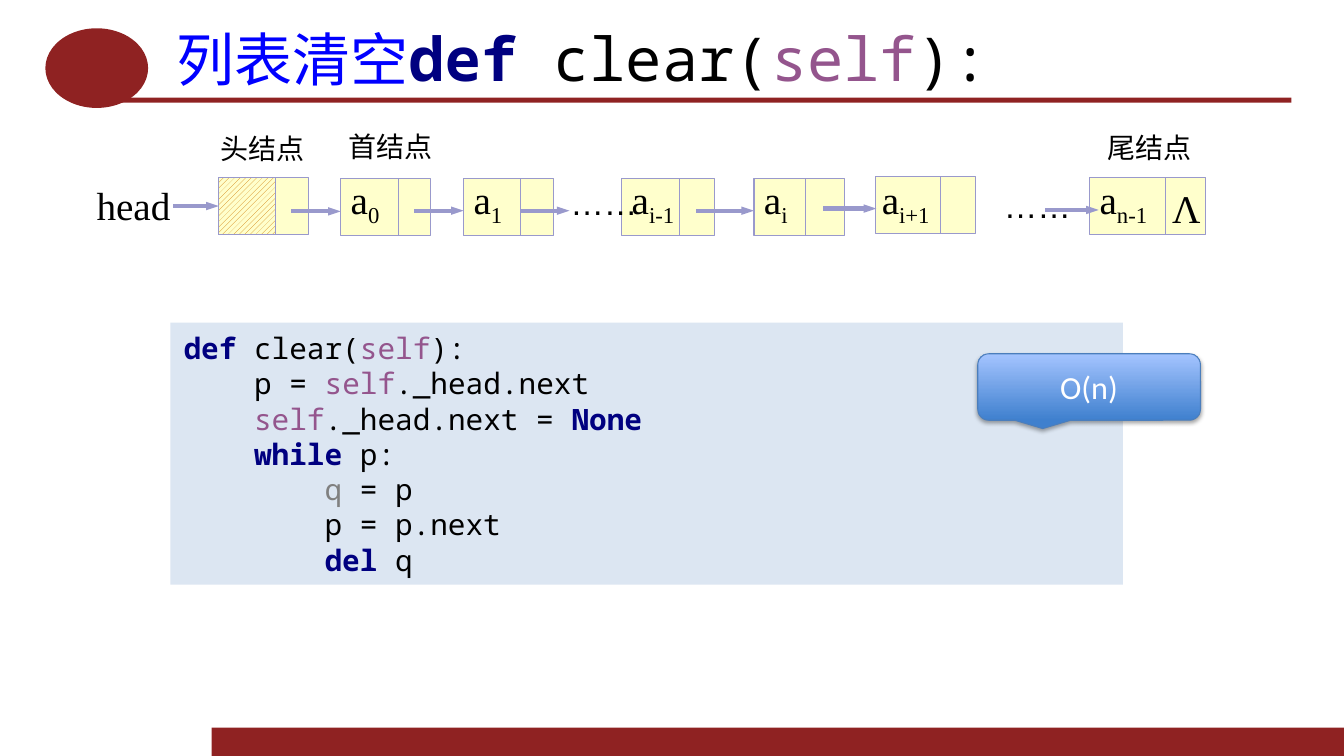
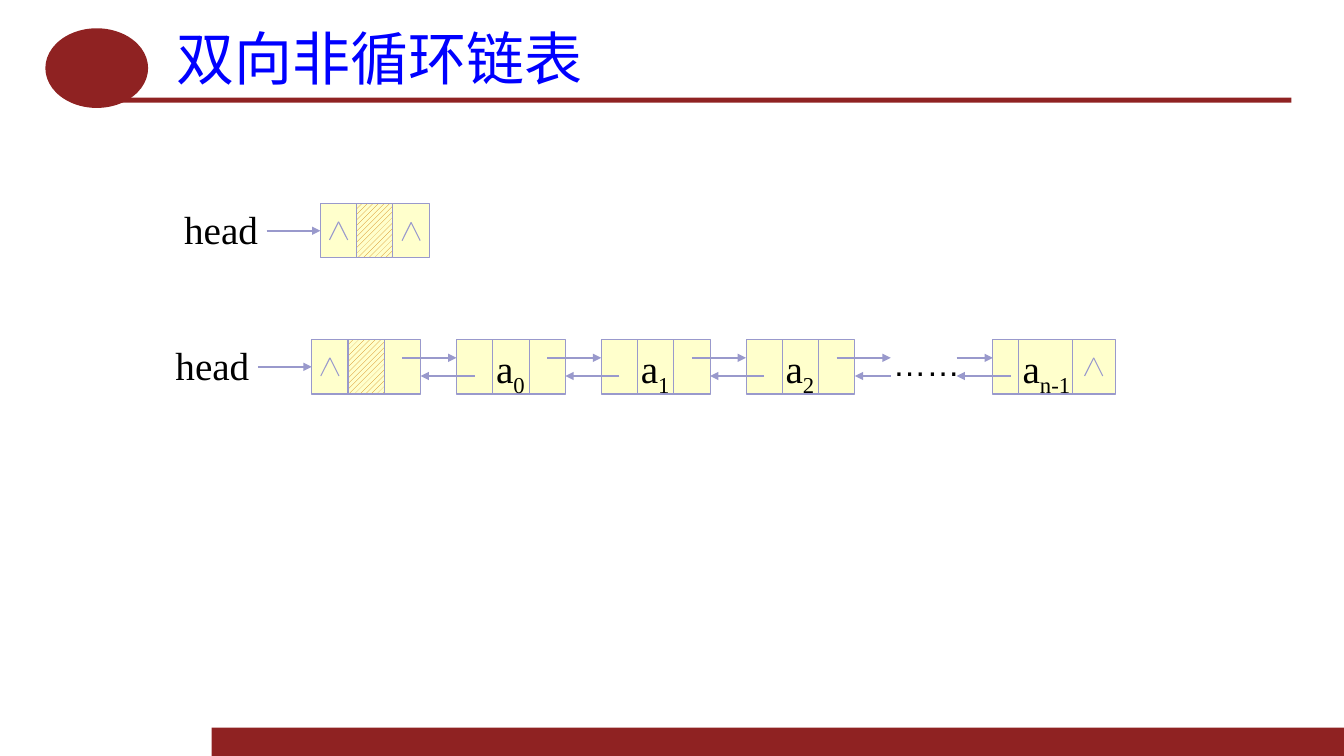
import pptx
import pptx.dml.color
import pptx.enum.dml
import pptx.enum.shapes
import pptx.enum.text
import pptx.oxml
import pptx.oxml.ns
import pptx.util
from lxml import etree

Pt = pptx.util.Pt
RGBColor = pptx.dml.color.RGBColor
MSO_SHAPE = pptx.enum.shapes.MSO_SHAPE
MSO_ANCHOR = pptx.enum.text.MSO_ANCHOR
PP_ALIGN = pptx.enum.text.PP_ALIGN
qn = pptx.oxml.ns.qn

MAROON = RGBColor(0x8F, 0x22, 0x22)
BLUE = RGBColor(0x00, 0x00, 0xFF)
NAVY = RGBColor(0x00, 0x00, 0x80)
PURPLE = RGBColor(0x94, 0x55, 0x8D)
GREY = RGBColor(0x80, 0x80, 0x80)
BLACK = RGBColor(0x00, 0x00, 0x00)
WHITE = RGBColor(0xFF, 0xFF, 0xFF)
CODE_BG = RGBColor(0xDC, 0xE6, 0xF2)
CREAM = RGBColor(0xFF, 0xFF, 0xCC)
ORANGE = RGBColor(0xD0, 0x7E, 0x06)
LILAC = RGBColor(0x99, 0x99, 0xCC)
CALLOUT_DARK = RGBColor(0x3F, 0x80, 0xCE)
CALLOUT_LIGHT = RGBColor(0xA4, 0xC4, 0xFF)
CALLOUT_LINE = RGBColor(0x4B, 0x7E, 0xBC)

CJK = "Noto Sans CJK SC"
MONO = "Noto Sans Mono"
SERIF = "Times New Roman"
SANS = "Calibri"

CODE_COLORS = {"key": NAVY, "self": PURPLE, "unused": GREY, "plain": BLACK}
SIGNATURE = [("def ", "key"), ("clear(", "plain"), ("self", "self"), ("):", "plain")]
CODE = [
    SIGNATURE,
    [("    p = ", "plain"), ("self", "self"), ("._head.next", "plain")],
    [("    ", "plain"), ("self", "self"), ("._head.next = ", "plain"), ("None", "key")],
    [("    while ", "key"), ("p:", "plain")],
    [("        ", "plain"), ("q ", "unused"), ("= p", "plain")],
    [("        p = p.next", "plain")],
    [("        del ", "key"), ("q", "plain")],
]


def add_run(p, text, font, size, color=BLACK, bold=False, subscript=False):
    r = p.add_run()
    r.text = text
    r.font.size = Pt(size)
    r.font.bold = bold
    r.font.color.rgb = color
    r.font.name = font
    rPr = r._r.get_or_add_rPr()
    ea = etree.SubElement(rPr, qn("a:ea"))
    ea.set("typeface", CJK if font == SANS else font)
    if subscript:
        rPr.set("baseline", "-25000")


def add_code(p, tokens, size):
    for text, kind in tokens:
        add_run(p, text, MONO, size, CODE_COLORS[kind], kind == "key")


def add_item(p, index):
    add_run(p, "a", SERIF, 28)
    add_run(p, index, SERIF, 28, subscript=True)


def set_margins(tf, anchor):
    tf.margin_left = tf.margin_right = Pt(9.4)
    tf.margin_top = tf.margin_bottom = Pt(4.3)
    tf.vertical_anchor = anchor


def add_box(s, x, y, w, h, fill=None, line=None, kind=MSO_SHAPE.RECTANGLE):
    sp = s.shapes.add_shape(kind, Pt(x), Pt(y), Pt(w), Pt(h))
    sp.shadow.inherit = False
    if fill is not None:
        sp.fill.solid()
        sp.fill.fore_color.rgb = fill
    if line is None:
        sp.line.fill.background()
    else:
        sp.line.color.rgb = line
        sp.line.width = Pt(0.75)
    return sp


def add_label(s, x, y, w, h, wrap=False):
    tf = s.shapes.add_textbox(Pt(x), Pt(y), Pt(w), Pt(h)).text_frame
    tf.word_wrap = wrap
    return tf.paragraphs[0]


def add_line(s, x1, y1, x2, y2, width=0.75):
    c = s.shapes.add_connector(
        pptx.enum.shapes.MSO_CONNECTOR.STRAIGHT, Pt(x1), Pt(y1), Pt(x2), Pt(y2))
    c.line.color.rgb = LILAC
    c.line.width = Pt(width)
    etree.SubElement(c._element.spPr, qn("a:effectLst"))
    return c


def add_arrow(s, x1, x2, y, width=1.5):
    c = add_line(s, x1, y, x2, y, width)
    tail = etree.SubElement(c.line._get_or_add_ln(), qn("a:tailEnd"))
    tail.set("type", "triangle")
    tail.set("w", "sm" if width > 2 else "med")
    return c


def add_node(s, x, y, w, h, dividers):
    sp = add_box(s, x, y, w, h, CREAM, LILAC)
    for dx in dividers:
        add_line(s, x + dx, y, x + dx, y + h)
    return sp


def add_hatch(s, x, y, w, h):
    sp = add_box(s, x, y, w, h, line=LILAC)
    sp.fill.patterned()
    sp.fill.pattern = pptx.enum.dml.MSO_PATTERN.WIDE_UPWARD_DIAGONAL
    sp.fill.fore_color.rgb = ORANGE
    sp.fill.back_color.rgb = CREAM


def add_head(s, x, y, node, start, width):
    add_run(add_label(s, x, y, 67.7, 41), "head", SERIF, 28)
    middle = (node.top + node.height / 2) / Pt(1)
    arrow = add_arrow(s, start, node.left / Pt(1), middle, width)
    arrow.end_connect(node, 1)


def add_dots(s, x, y):
    add_run(add_label(s, x, y, 63.4, 36, True), "……", "Arial", 24)


def add_nil(s, x, y):
    for dx in (-6.5, 6.5):
        add_line(s, x, y, x + dx, y + 13)


def add_callout(s, text):
    sp = add_box(s, 698.4, 252.7, 159.1, 47.5, line=CALLOUT_LINE,
                 kind=MSO_SHAPE.ROUNDED_RECTANGULAR_CALLOUT)
    sp.fill.gradient()
    sp.fill.gradient_angle = 90
    for stop, color in zip(sp.fill.gradient_stops, (CALLOUT_DARK, CALLOUT_LIGHT)):
        stop.color.rgb = color
    effects = sp._element.spPr.find(qn("a:effectLst"))
    shadow = etree.SubElement(effects, qn("a:outerShdw"), blurRad=str(Pt(3.1)),
                              dist=str(Pt(1.8)), dir="5400000", rotWithShape="0")
    black = etree.SubElement(shadow, qn("a:srgbClr"), val="000000")
    etree.SubElement(black, qn("a:alpha"), val="35000")
    set_margins(sp.text_frame, MSO_ANCHOR.MIDDLE)
    p = sp.text_frame.paragraphs[0]
    p.alignment = PP_ALIGN.CENTER
    add_run(p, text, SANS, 23, WHITE)


def add_code_box(s):
    tf = add_box(s, 121.7, 230.4, 680.4, 187.2, CODE_BG).text_frame
    set_margins(tf, MSO_ANCHOR.MIDDLE)
    for i, tokens in enumerate(CODE):
        p = tf.add_paragraph() if i else tf.paragraphs[0]
        p.alignment = PP_ALIGN.LEFT
        add_code(p, tokens, 21)


def decorate_layout(layout, s):
    title = layout.placeholders[0]
    title.left, title.top, title.width, title.height = Pt(116.6), Pt(15.1), Pt(805.7), Pt(51.1)
    title.text_frame.auto_size = pptx.enum.text.MSO_AUTO_SIZE.NONE
    set_margins(title.text_frame, MSO_ANCHOR.MIDDLE)
    band = add_box(s, 151.2, 519.8, 808.8, 20.2, MAROON)
    rule = add_box(s, 85, 69.8, 837.4, 3.6, MAROON)
    badge = add_box(s, 32.4, 20.2, 73.4, 56.9, MAROON, kind=MSO_SHAPE.OVAL)
    for i, sp in enumerate((band, rule, badge)):
        layout.shapes.element.insert(2 + i, sp._element)


def add_title(s, text):
    p = s.shapes.title.text_frame.paragraphs[0]
    p.alignment = PP_ALIGN.JUSTIFY
    add_run(p, text, CJK, 41.4, BLUE)
    return p


def build_clear_slide(s):
    add_code(add_title(s, "列表清空"), SIGNATURE, 43.2)
    add_code_box(s)

    head = add_node(s, 156.2, 126.7, 64.1, 41, [40.5])
    add_hatch(s, 156.2, 126.7, 40.5, 41)
    add_head(s, 61.9, 126, head, 123.8, 3)

    nodes = [
        (243.4, 127.4, 64.1, 41, "0", 36.7),
        (331.2, 127.4, 64.1, 40.3, "1", 36.7),
        (444.2, 127.4, 66.2, 41, "i-1", 48.2),
        (538.6, 127.4, 64.8, 36.7, "i", 32.4),
        (625.7, 126, 71.3, 46, "i+1", 52.6),
        (778.3, 126.7, 82.8, 54, "n-1", 68.4),
    ]
    for x, y, w, divider, index, label_w in nodes:
        add_node(s, x, y, w, 41, [divider])
        label_x = x - 2.9 if index == "i+1" else x
        add_item(add_label(s, label_x, 121.4, label_w, 41), index)
    add_run(add_label(s, 830.2, 128.2, 35.3, 41), "Λ", SERIF, 28)

    for x, y in ((400.3, 126.7), (709.9, 128.9)):
        add_dots(s, x, y)
    for x1, x2, y in ((208, 243.4, 151), (295.9, 331.2, 150.5), (371.5, 406.8, 150.5),
                      (497.5, 538.6, 150.5), (588.2, 626, 149), (746.6, 784.8, 150)):
        add_arrow(s, x1, x2, y, 3)
    for x, y, text in ((150.5, 90.7, "头结点"), (241.9, 89.3, "首结点"), (784.1, 90, "尾结点")):
        add_run(add_label(s, x, y, 74.9, 31.7), text, SANS, 20)
    add_callout(s, "O(n)")


def build_double_slide(s):
    add_title(s, "双向非循环链表")
    cell, h, pitch = 25.9, 38.9, 103.4
    left, top = 222.7, 242.6
    last = 709.2
    forward_y, back_y = top + 13, top + 26

    for x, y in ((228.9, 145.4), (left, top)):
        head = add_node(s, x, y, 3 * cell, h, [cell, 2 * cell])
        add_hatch(s, x + cell, y, cell, h)
        add_nil(s, x + cell / 2, y + 13)
        add_head(s, x - 104.4, y - 2, head, x - 38.5, 1.5)
    add_nil(s, 228.9 + 2.5 * cell, 158.9)

    items = [(left + i * pitch, 3 * cell, [cell, 2 * cell], 28.2, str(i - 1))
             for i in range(1, 4)]
    items.append((last, 87.8, [18, 57], 21.2, "n-1"))
    for x, w, dividers, indent, index in items:
        tf = add_node(s, x, top, w, h, dividers).text_frame
        tf.word_wrap = False
        tf.margin_left, tf.margin_right = Pt(indent), Pt(0)
        tf.vertical_anchor = MSO_ANCHOR.TOP
        tf.paragraphs[0].alignment = PP_ALIGN.LEFT
        add_item(tf.paragraphs[0], index)

    for i in range(4):
        x = left + i * pitch
        following = x + pitch
        add_arrow(s, x + 2.5 * cell, following, forward_y)
        back_start = following + cell / 2 if i < 3 else following
        add_arrow(s, back_start, x + 3 * cell, back_y)
    add_arrow(s, last - cell, last, forward_y)
    add_arrow(s, last + cell / 2, last - cell, back_y)
    add_nil(s, 781.2, forward_y)
    add_dots(s, 630.7, 241.2)


def main():
    prs = pptx.Presentation()
    prs.slide_width, prs.slide_height = Pt(960), Pt(540)
    layout = prs.slide_layouts[5]
    clear_slide = prs.slides.add_slide(layout)
    decorate_layout(layout, clear_slide)
    build_clear_slide(clear_slide)
    build_double_slide(prs.slides.add_slide(layout))
    prs.save("out.pptx")


if __name__ == "__main__":
    main()
